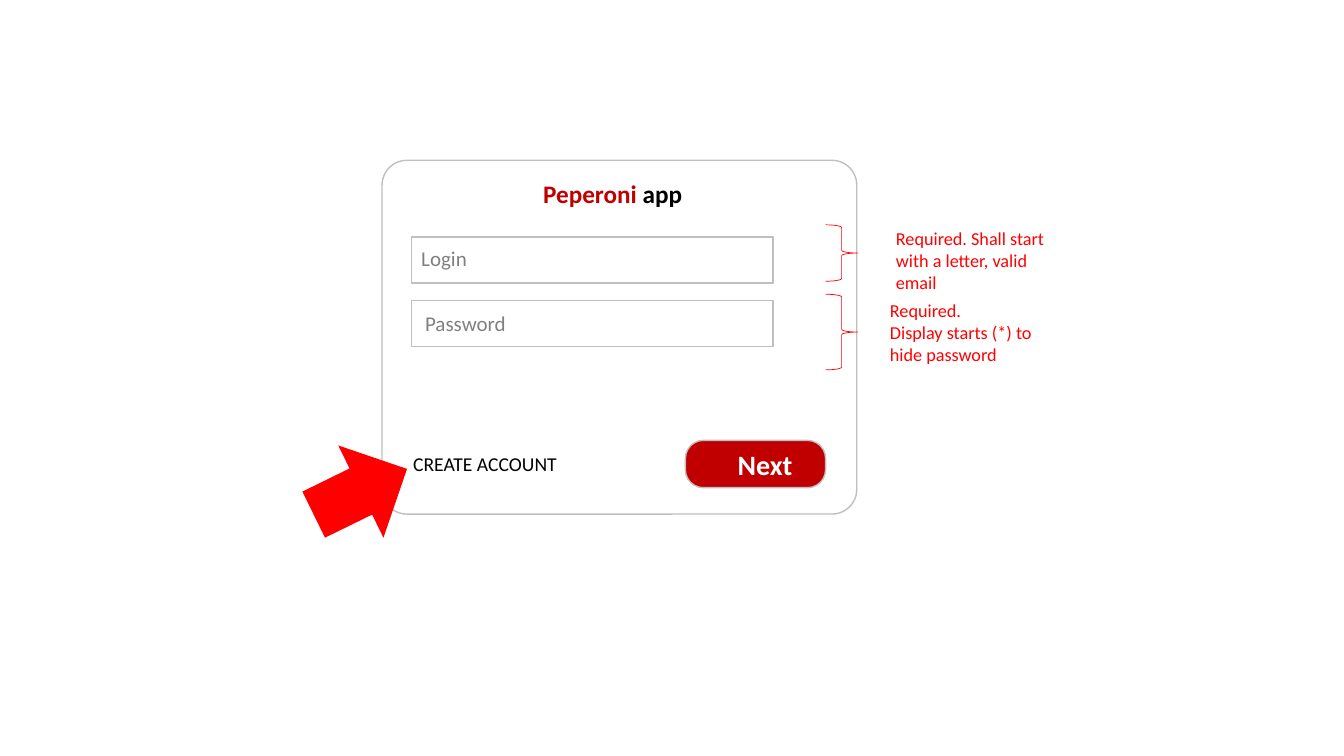
from dataclasses import dataclass

from pptx import Presentation
from pptx import util as u
from pptx.dml.color import RGBColor
from pptx.enum import shapes, text
from pptx.shapes.autoshape import Shape
from pptx.slide import Slide


@dataclass(frozen=True)
class Theme:
    font: str = "Calibri"
    brand: str = "C00000"
    alert: str = "FF0000"
    outline: str = "BFBFBF"
    hint: str = "808080"
    ink: str = "000000"
    paper: str = "FFFFFF"
    title_size: float = 18
    button_size: float = 20
    link_size: float = 14
    hint_size: float = 15
    note_size: float = 13
    outline_width: float = 1
    brace_width: float = 0.5


THEME = Theme()
PRESET = shapes.MSO_SHAPE


@dataclass(frozen=True)
class Box:
    left: float
    top: float
    width: float
    height: float

    def lengths(self) -> tuple[u.Length, ...]:
        return tuple(u.Pt(v) for v in (self.left, self.top, self.width, self.height))


@dataclass(frozen=True)
class Outline:
    box: Box
    preset: PRESET
    line: str | None = THEME.outline
    line_width: float = THEME.outline_width
    fill: str | None = None
    corner: float | None = None
    rotation: float = 0


@dataclass(frozen=True)
class Label:
    box: Box
    words: str
    size: float
    color: str
    bold: bool = False
    wrap: bool = True


@dataclass(frozen=True)
class Field:
    top: float
    hint: str
    hint_left: float
    hint_top: float


@dataclass(frozen=True)
class Note:
    brace_top: float
    brace_height: float
    left: float
    top: float
    words: str


FIELDS = (
    Field(214.6, "Password", 296.6, 218.2),
    Field(169.2, "Login", 293.8, 172.1),
)
NOTES = (
    Note(210.2, 54, 628.6, 210.2, "Required.\nDisplay starts (*) to hide password"),
    Note(160.6, 40.3, 632.9, 159.1, "Required. Shall start with a letter, valid email"),
)


def draw_outline(slide: Slide, item: Outline) -> Shape:
    shape = slide.shapes.add_shape(item.preset, *item.box.lengths())
    shape.shadow.inherit = False
    shape.rotation = item.rotation
    if item.corner is not None:
        shape.adjustments[0] = item.corner
    if item.fill:
        shape.fill.solid()
        shape.fill.fore_color.rgb = RGBColor.from_string(item.fill)
    else:
        shape.fill.background()
    if item.line:
        shape.line.color.rgb = RGBColor.from_string(item.line)
        shape.line.width = u.Pt(item.line_width)
    else:
        shape.line.fill.background()
    return shape


def draw_label(slide: Slide, item: Label) -> Shape:
    label = slide.shapes.add_textbox(*item.box.lengths())
    frame = label.text_frame
    frame.word_wrap = item.wrap
    frame.auto_size = text.MSO_AUTO_SIZE.SHAPE_TO_FIT_TEXT
    frame.text = item.words
    for paragraph in frame.paragraphs:
        for run in paragraph.runs:
            run.font.name = THEME.font
            run.font.size = u.Pt(item.size)
            run.font.bold = item.bold
            run.font.color.rgb = RGBColor.from_string(item.color)
    return label


def draw_title(slide: Slide) -> None:
    title = draw_label(slide, Label(Box(380.9, 123.8, 124.6, 28.8), "Peperoni app",
                                    THEME.title_size, THEME.brand, bold=True))
    brand = title.text_frame.paragraphs[0].runs[0]
    brand.text = "Peperoni"
    suffix = title.text_frame.paragraphs[0].add_run()
    suffix.text = " app"
    suffix.font.name = THEME.font
    suffix.font.size = u.Pt(THEME.title_size)
    suffix.font.bold = True
    suffix.font.color.rgb = RGBColor.from_string(THEME.ink)


def draw_field(slide: Slide, field: Field) -> None:
    draw_label(slide, Label(Box(field.hint_left, field.hint_top, 225.4, 25.2),
                            field.hint, THEME.hint_size, THEME.hint))
    draw_outline(slide, Outline(Box(293.8, field.top, 258.5, 33.1), PRESET.RECTANGLE))


def draw_note(slide: Slide, note: Note) -> None:
    draw_outline(slide, Outline(Box(589.7, note.brace_top, 23, note.brace_height),
                                PRESET.RIGHT_BRACE, THEME.alert, THEME.brace_width))
    draw_label(slide, Label(Box(note.left, note.top, 128.9, 54.7),
                            note.words, THEME.note_size, THEME.alert))


def main() -> None:
    deck = Presentation()
    deck.slide_width, deck.slide_height = u.Pt(960), u.Pt(540)
    slide = deck.slides.add_slide(deck.slide_layouts[6])

    draw_outline(slide, Outline(Box(272.9, 114.5, 339.1, 252.7),
                                PRESET.ROUNDED_RECTANGLE, corner=0.07))
    draw_label(slide, Label(Box(288, 319, 118.1, 24.5), "CREATE ACCOUNT",
                            THEME.link_size, THEME.ink, wrap=False))
    draw_title(slide)
    for field in FIELDS:
        draw_field(slide, field)
    for note in NOTES:
        draw_note(slide, note)
    draw_outline(slide, Outline(Box(489.6, 314.6, 100.1, 33.8), PRESET.ROUNDED_RECTANGLE,
                                fill=THEME.brand, corner=0.38))
    draw_label(slide, Label(Box(519.8, 316.1, 54, 31.7), "Next",
                            THEME.button_size, THEME.paper, bold=True, wrap=False))
    draw_outline(slide, Outline(Box(220.3, 314.6, 74.2, 73.4), PRESET.RIGHT_ARROW,
                                line=None, fill=THEME.alert, rotation=333.9))
    deck.save("out.pptx")


if __name__ == "__main__":
    main()
